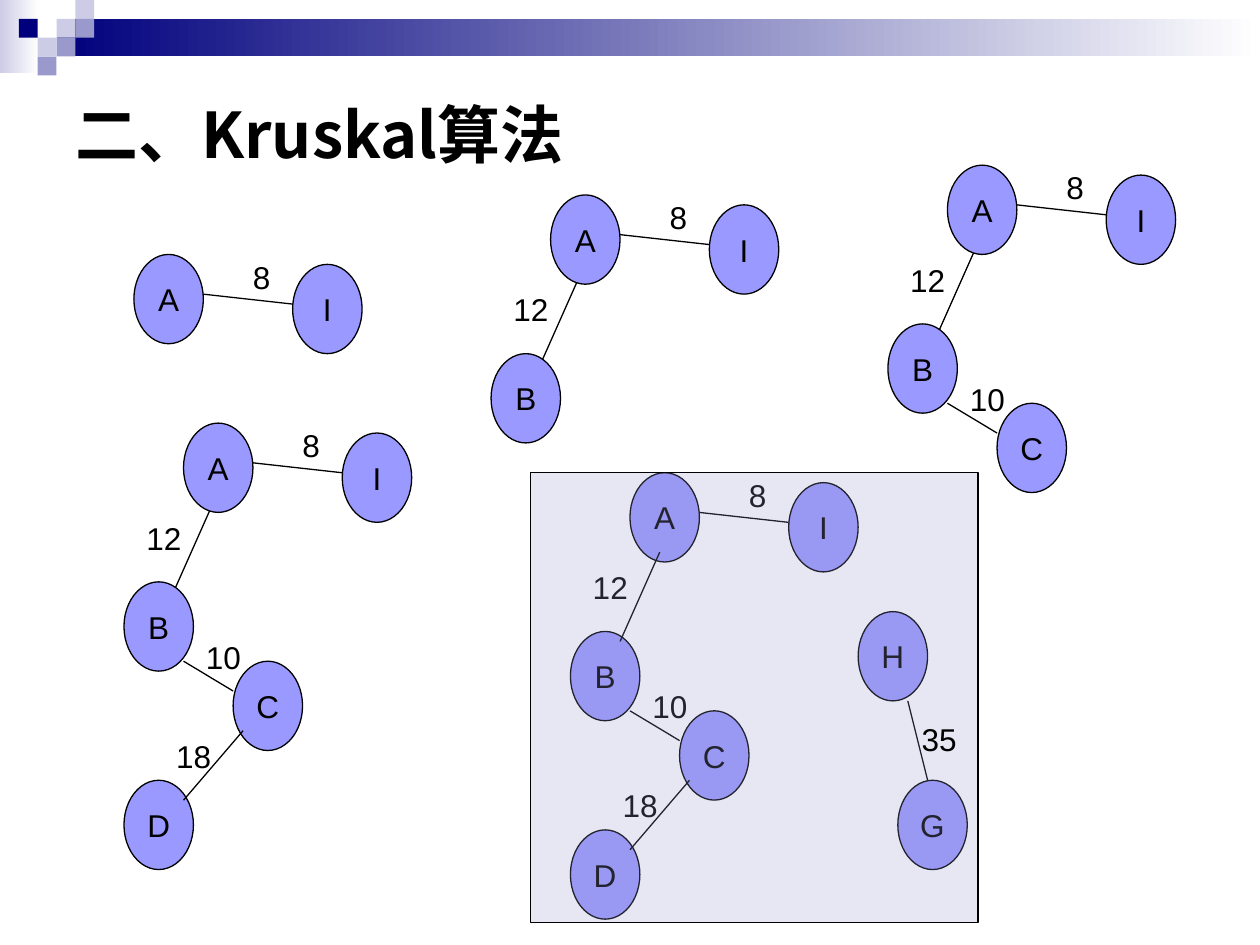
import pptx
import pptx.util
import pptx.dml.color
import pptx.enum.shapes
import pptx.enum.text
import pptx.oxml.ns
from pptx.util import Cm

Kind = pptx.enum.shapes.MSO_SHAPE
Align = pptx.enum.text.PP_ALIGN
Anchor = pptx.enum.text.MSO_ANCHOR
qn = pptx.oxml.ns.qn


def hue(code):
    return pptx.dml.color.RGBColor.from_string(code)


def add(parent, tag, **attrs):
    """Append a DrawingML element to parent."""
    node = parent.makeelement(qn(tag), attrs)
    parent.append(node)
    return node


class Sheet:
    font = "Arial"
    title_font = "Noto Sans CJK SC"
    ink = "000000"
    fill = "9999FF"
    size = 18
    wide, high = 1.4, 1.8

    def __init__(self, slide):
        self.shapes = slide.shapes

    def style(self, para, size, name, bold=False):
        font = para.font
        font.size = pptx.util.Pt(size)
        font.name = name
        font.bold = bold
        font.color.rgb = hue(self.ink)

    def outline(self, line):
        line.color.rgb = hue(self.ink)
        line.width = pptx.util.Pt(0.75)

    def shape(self, kind, x, y, w, h, fill, line=False):
        shape = self.shapes.add_shape(kind, Cm(x), Cm(y), Cm(w), Cm(h))
        shape.shadow.inherit = False
        shape.fill.solid()
        shape.fill.fore_color.rgb = hue(fill)
        if line:
            self.outline(shape.line)
        else:
            shape.line.fill.background()
        return shape

    def fade(self, x, y, w, h, start, end):
        """Draw a bar that fades from left to right."""
        bar = self.shape(Kind.RECTANGLE, x, y, w, h, start)
        bar.fill.gradient()
        bar.fill.gradient_angle = 0
        for stop, code, place in zip(bar.fill.gradient_stops, (start, end), (0, 1)):
            stop.color.rgb = hue(code)
            stop.position = place

    def panel(self, x, y, w, h, fill, alpha):
        """Draw a see-through frame; alpha is in percent."""
        panel = self.shape(Kind.RECTANGLE, x, y, w, h, fill, line=True)
        solid = panel._element.spPr.find(qn("a:solidFill"))
        add(solid[0], "a:alpha", val=str(alpha * 1000))

    def node(self, name, x, y):
        oval = self.shape(Kind.OVAL, x, y, self.wide, self.high, self.fill, line=True)
        frame = oval.text_frame
        frame.word_wrap = False
        frame.vertical_anchor = Anchor.MIDDLE
        para = frame.paragraphs[0]
        para.text = name
        para.alignment = Align.CENTER
        self.style(para, self.size, self.font)

    def edge(self, x1, y1, x2, y2):
        line = self.shapes.add_connector(
            pptx.enum.shapes.MSO_CONNECTOR.STRAIGHT, Cm(x1), Cm(y1), Cm(x2), Cm(y2))
        self.outline(line.line)
        add(line._element.spPr, "a:effectLst")

    def text(self, words, x, y, w, h):
        box = self.shapes.add_textbox(Cm(x), Cm(y), Cm(w), Cm(h))
        box.text_frame.word_wrap = True
        para = box.text_frame.paragraphs[0]
        para.text = words
        return box.text_frame, para

    def label(self, words, x, y, w, align=Align.LEFT):
        para = self.text(words, x, y, w, 1.02)[1]
        para.alignment = align
        self.style(para, self.size, self.font)

    def title(self, words, x, y, w, h):
        frame, para = self.text(words, x, y, w, h)
        frame.vertical_anchor = Anchor.MIDDLE
        self.style(para, 36, self.title_font, bold=True)
        latin = next(para._p.iter(qn("a:latin")))
        latin.addnext(latin.makeelement(qn("a:ea"), {"typeface": self.title_font}))

    def tree(self, x, y, count, under=True):
        """Draw the first count edges from A at x, y; under puts A-B behind."""
        spans = [(x + a, y + b, x + c, y + d) for a, b, c, d in EDGES[:count]]
        if under and count > 1:
            self.edge(*spans[1])
        for name, dx, dy in NODES[count::-1]:
            self.node(name, x + dx, y + dy)
        for i, (span, (words, dx, dy, w, align)) in enumerate(zip(spans, COSTS)):
            if i != 1 or not under:
                self.edge(*span)
            self.label(words, x + dx, y + dy, w, align)


# Offsets in cm from the top left of node A
NODES = [("A", 0, 0), ("I", 3.2, 0.2), ("B", -1.2, 3.2), ("C", 1, 4.8), ("D", -1.2, 7.2)]
EDGES = [(1.4, 0.8, 3.2, 1), (0.6, 1.6, -0.2, 3.4), (0, 4.8, 1, 5.4), (1.2, 6.2, 0, 7.6)]
COSTS = [("8", 0.6, -0.06, 2.4, Align.RIGHT), ("12", -1, 1.8, 2.6, Align.LEFT),
         ("10", 0.2, 4.2, 2.2, Align.LEFT), ("18", -0.4, 6.2, 1.8, Align.LEFT)]
TREES = [(2.7, 5.13), (11.1, 3.93), (19.1, 3.33), (3.7, 8.53)]

NAVY, PALE, MID, WHITE = "00007D", "CCCCE6", "9999CC", "FFFFFF"
TILE = 0.38
TILES = [(3, 1, PALE), (4, 0, PALE), (4, 1, MID), (2, 2, PALE),
         (1, 1, NAVY), (3, 2, MID), (2, 3, MID)]


def main():
    deck = pptx.Presentation()
    deck.slide_width, deck.slide_height = Cm(25.4), Cm(19.05)
    sheet = Sheet(deck.slides.add_slide(deck.slide_layouts[6]))

    sheet.fade(0, 0, 0.78, 1.48, PALE, WHITE)
    sheet.fade(3 * TILE, TILE, 24.26, 2 * TILE, NAVY, WHITE)
    for col, row, code in TILES:
        sheet.shape(Kind.RECTANGLE, col * TILE, row * TILE, TILE, TILE, code)
    sheet.title("二、Kruskal算法", 1.27, 1.27, 22.86, 2.84)

    for count, (x, y) in enumerate(TREES, 1):
        sheet.tree(x, y, count)

    sheet.node("G", 18.1, 15.73)
    sheet.node("H", 17.3, 12.33)
    sheet.edge(18.3, 14.13, 18.7, 15.73)
    sheet.tree(12.7, 9.53, 4, under=False)
    sheet.panel(10.7, 9.53, 9.02, 9.07, MID, 23)
    sheet.label("35", 18.33, 14.4, 3.38)

    deck.save("out.pptx")


if __name__ == "__main__":
    main()
